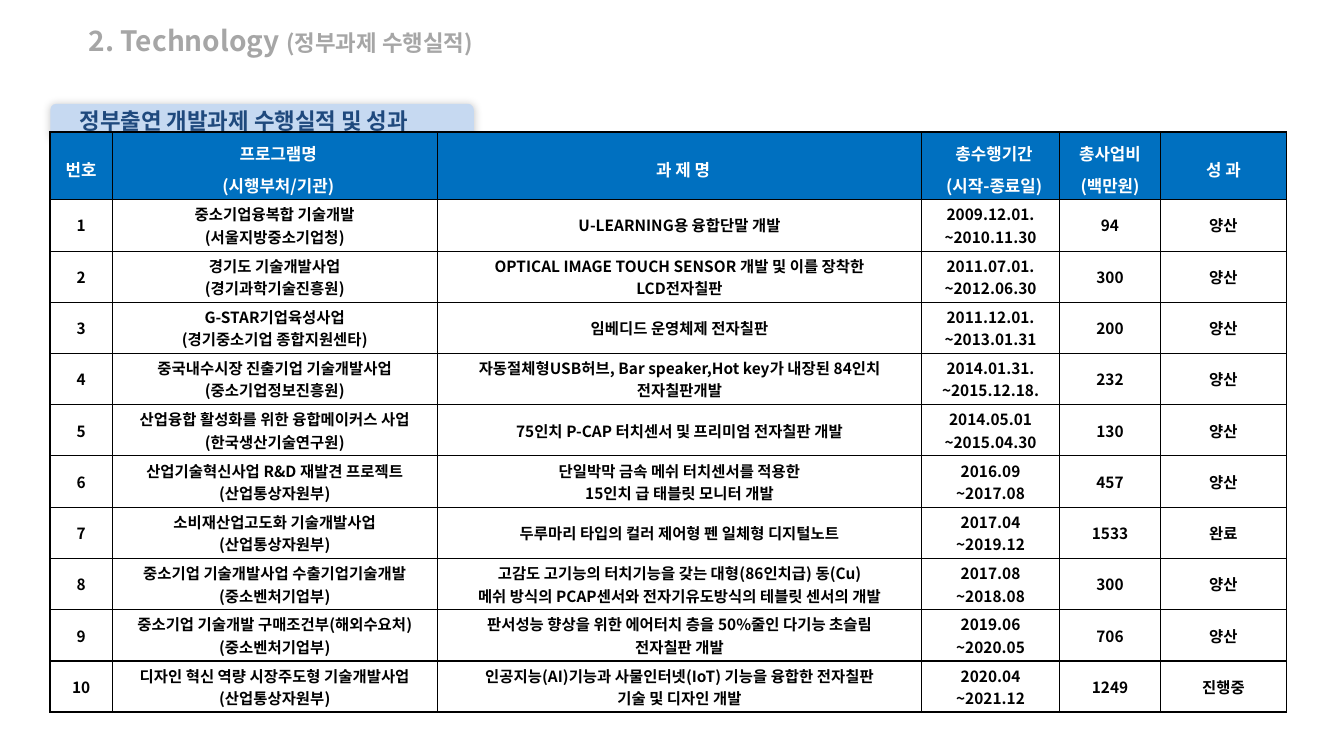
from lxml import etree
from pptx import Presentation
from pptx.dml.color import RGBColor
from pptx.enum.shapes import MSO_SHAPE
from pptx.enum.text import MSO_ANCHOR, MSO_AUTO_SIZE, PP_ALIGN
from pptx.oxml import parse_xml
from pptx.oxml.ns import nsdecls, qn
from pptx.util import Inches, Pt

SANS = "Noto Sans CJK KR"
BLACK = "000000"
THIN, MEDIUM, THICK = 0.28, 1, 1.7

COLUMN_WIDTHS = [0.61, 3.23, 4.8, 1.37, 1, 1.25]
HEADER_HEIGHT = 0.67
TABLE_HEIGHT = 5.76

HEADERS = ["번호", "프로그램명\n(시행부처/기관)", "과 제 명",
           "총수행기간\n(시작-종료일)", "총사업비\n(백만원)", "성 과"]
INDENTED_HEADERS = (1, 2, 3)

PROJECTS = [
    ("중소기업융복합 기술개발\n(서울지방중소기업청)", "U-LEARNING용 융합단말 개발",
     "2009.12.01.\n~2010.11.30", "94", "양산"),
    ("경기도 기술개발사업\n(경기과학기술진흥원)",
     "OPTICAL IMAGE TOUCH SENSOR 개발 및 이를 장착한\nLCD전자칠판",
     "2011.07.01.\n~2012.06.30", "300", "양산"),
    ("G-STAR기업육성사업\n(경기중소기업 종합지원센타)", "임베디드 운영체제 전자칠판",
     "2011.12.01.\n~2013.01.31", "200", "양산"),
    ("중국내수시장 진출기업 기술개발사업 (중소기업정보진흥원)",
     "자동절체형USB허브, Bar speaker,Hot key가 내장된 84인치 전자칠판개발",
     "2014.01.31.\n~2015.12.18.", "232", "양산"),
    ("산업융합 활성화를 위한 융합메이커스 사업 (한국생산기술연구원)",
     "75인치 P-CAP 터치센서 및 프리미엄 전자칠판 개발",
     "2014.05.01\n~2015.04.30", "130", "양산"),
    ("산업기술혁신사업 R&D 재발견 프로젝트\n(산업통상자원부)",
     "단일박막 금속 메쉬 터치센서를 적용한\n15인치 급 태블릿 모니터 개발",
     "2016.09\n~2017.08", "457", "양산"),
    ("소비재산업고도화 기술개발사업\n(산업통상자원부)",
     "두루마리 타입의 컬러 제어형 펜 일체형 디지털노트",
     "2017.04\n~2019.12", "1533", "완료"),
    ("중소기업 기술개발사업 수출기업기술개발\n(중소벤처기업부)",
     "고감도 고기능의 터치기능을 갖는 대형(86인치급) 동(Cu)\n"
     "메쉬 방식의 PCAP센서와 전자기유도방식의 테블릿 센서의 개발",
     "2017.08\n~2018.08", "300", "양산"),
    ("중소기업 기술개발 구매조건부(해외수요처)\n(중소벤처기업부)",
     "판서성능 향상을 위한 에어터치 층을 50%줄인 다기능 초슬림\n전자칠판 개발",
     "2019.06\n~2020.05", "706", "양산"),
    ("디자인 혁신 역량 시장주도형 기술개발사업\n(산업통상자원부)",
     "인공지능(AI)기능과 사물인터넷(IoT) 기능을 융합한 전자칠판\n기술 및 디자인 개발",
     "2020.04\n~2021.12", "1249", "진행중"),
]


def rgb(color):
    return RGBColor.from_string(color)


def add_run(paragraph, text, size, color, font=SANS):
    run = paragraph.add_run()
    run.text = text
    run.font.size = Pt(size)
    run.font.bold = True
    run.font.name = font
    run.font.color.rgb = rgb(color)
    # The East Asian typeface follows the Latin one in the run properties.
    east_asian = etree.SubElement(run.font._element, qn("a:ea"))
    east_asian.set("typeface", SANS)


def set_title(slide):
    title = slide.shapes.title
    title.left, title.top = Inches(0.88), Inches(0.28)
    title.width, title.height = Inches(7.99), Inches(0.42)
    title.fill.solid()
    title.fill.fore_color.rgb = rgb("FFFFFF")
    frame = title.text_frame
    frame.auto_size = MSO_AUTO_SIZE.NONE
    frame.vertical_anchor = MSO_ANCHOR.TOP
    frame.margin_left = frame.margin_right = 0
    frame.margin_top = frame.margin_bottom = 0
    heading = frame.paragraphs[0]
    heading.alignment = PP_ALIGN.LEFT
    heading.line_spacing = 0.85
    add_run(heading, "2. Technology ", 20, "A6A6A6")
    add_run(heading, "(정부과제 수행실적)", 16, "A6A6A6")


def add_section_label(slide, text):
    group = slide.shapes.add_group_shape()
    tab = group.shapes.add_shape(MSO_SHAPE.ROUNDED_RECTANGLE, Inches(0.5),
                                 Inches(1.03), Inches(4.2), Inches(0.36))
    tab.fill.solid()
    tab.fill.fore_color.rgb = rgb("C6D9F1")
    tab.line.fill.background()
    tab._element.spPr.append(parse_xml(
        f'<a:effectLst {nsdecls("a")}>'
        f'<a:outerShdw blurRad="{Pt(6)}" dist="0" dir="18900000">'
        f'<a:srgbClr val="{BLACK}"><a:alpha val="20000"/></a:srgbClr>'
        '</a:outerShdw></a:effectLst>'))
    caption = group.shapes.add_textbox(Inches(0.69), Inches(1.01),
                                       Inches(4.21), Inches(0.37))
    caption.text_frame.word_wrap = True
    caption.text_frame.auto_size = MSO_AUTO_SIZE.SHAPE_TO_FIT_TEXT
    paragraph = caption.text_frame.paragraphs[0]
    paragraph.alignment = PP_ALIGN.JUSTIFY
    add_run(paragraph, text, 16, "1F497D", "Arial")


def set_borders(cell, **widths):
    """Draw black borders; widths are points keyed by L, R, T and B."""
    properties = cell._tc.get_or_add_tcPr()
    for side in "LRTB":
        properties.append(parse_xml(
            f'<a:ln{side} {nsdecls("a")} w="{Pt(widths[side])}">'
            f'<a:solidFill><a:srgbClr val="{BLACK}"/></a:solidFill></a:ln{side}>'))


def fill_cell(cell, text, size, color, line_spacing=None, indent=0):
    cell.vertical_anchor = MSO_ANCHOR.MIDDLE
    cell.margin_left = cell.margin_right = Inches(0.01)
    cell.margin_top = cell.margin_bottom = Inches(0.01)
    for number, line in enumerate(text.split("\n")):
        frame = cell.text_frame
        paragraph = frame.add_paragraph() if number else frame.paragraphs[0]
        paragraph.alignment = PP_ALIGN.CENTER
        if line_spacing:
            paragraph.line_spacing = line_spacing
        if indent:
            paragraph._p.get_or_add_pPr().set("marL", str(Inches(indent)))
        add_run(paragraph, line, size, color)


def add_project_table(slide):
    rows = [HEADERS] + [(str(number), *project)
                        for number, project in enumerate(PROJECTS, 1)]
    last = len(PROJECTS)
    table = slide.shapes.add_table(
        len(rows), len(HEADERS), Inches(0.5), Inches(1.31),
        Inches(sum(COLUMN_WIDTHS)), Inches(TABLE_HEIGHT)).table
    table.first_row = table.horz_banding = False
    for column, width in zip(table.columns, COLUMN_WIDTHS):
        column.width = Inches(width)

    # Horizontal rules: thick outside, thin down to project 4, medium after it.
    rules = [THICK] + [THIN if r < 4 else MEDIUM for r in range(last)] + [THICK]
    for r, values in enumerate(rows):
        body_height = (TABLE_HEIGHT - HEADER_HEIGHT) / last
        table.rows[r].height = Inches(body_height if r else HEADER_HEIGHT)
        for c, value in enumerate(values):
            cell = table.cell(r, c)
            set_borders(cell, L=THIN if c else THICK, R=THIN,
                        T=rules[r], B=rules[r + 1])
            if r:
                cell.fill.background()
                fill_cell(cell, value, 11, BLACK)
            else:
                cell.fill.solid()
                cell.fill.fore_color.rgb = rgb("0070C0")
                fill_cell(cell, value, 12, "FFFFFF", 1.3,
                          0.07 if c in INDENTED_HEADERS else 0)


def main():
    presentation = Presentation()
    presentation.slide_width = Inches(13.33)
    presentation.slide_height = Inches(7.5)
    slide = presentation.slides.add_slide(presentation.slide_layouts[5])
    set_title(slide)
    add_section_label(slide, "정부출연 개발과제 수행실적 및 성과")
    add_project_table(slide)
    presentation.save("out.pptx")


if __name__ == "__main__":
    main()
